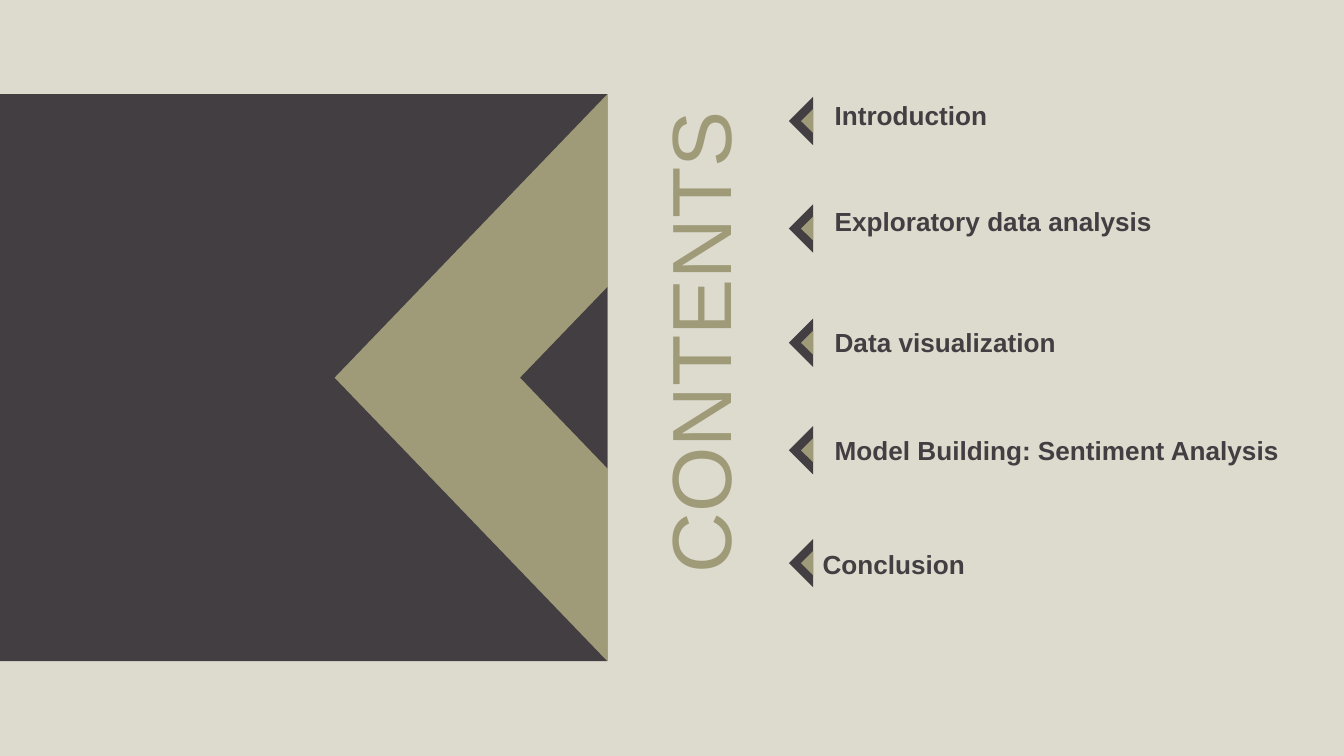
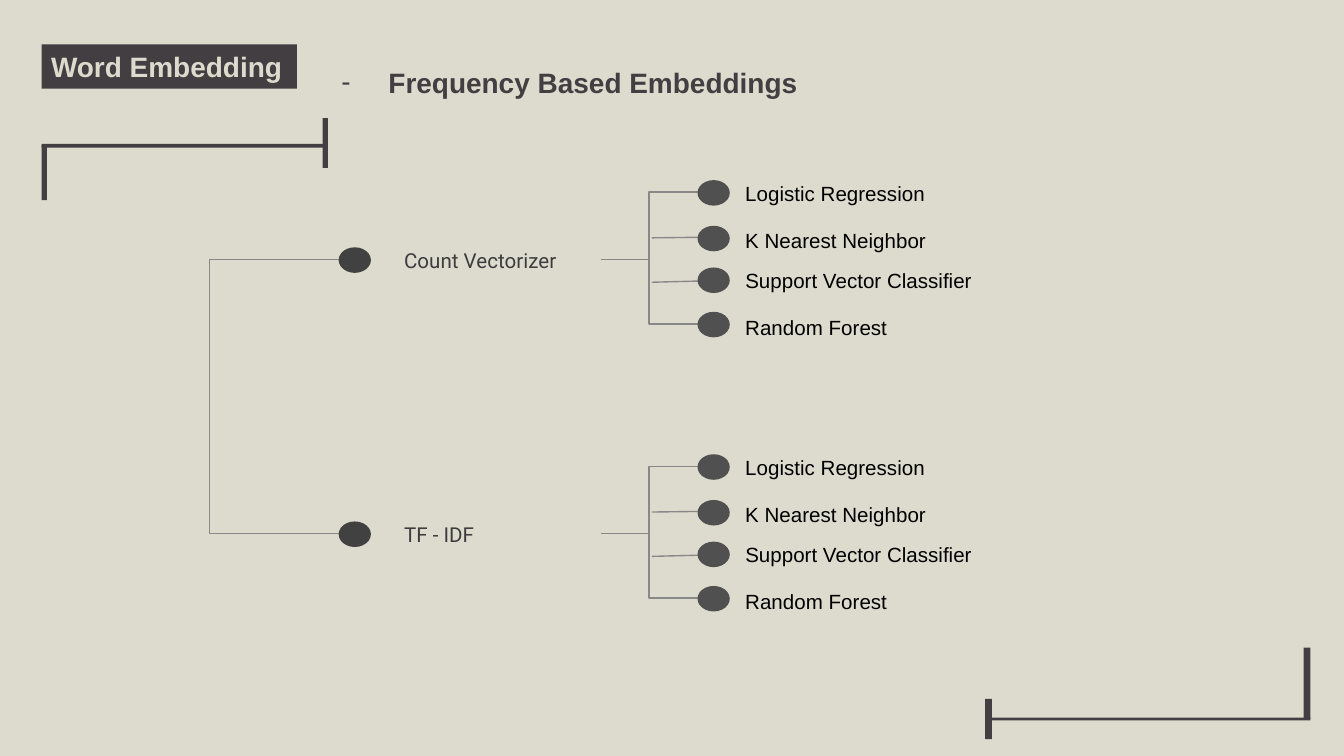
from lxml import etree
from pptx import Presentation
from pptx.dml.color import RGBColor
from pptx.enum.shapes import MSO_CONNECTOR, MSO_SHAPE
from pptx.enum.text import MSO_ANCHOR, PP_ALIGN
from pptx.oxml.ns import qn
from pptx.util import Inches, Pt

RECTANGLE = MSO_SHAPE.RECTANGLE
ROUNDED = MSO_SHAPE.ROUNDED_RECTANGLE
TRIANGLE = MSO_SHAPE.ISOSCELES_TRIANGLE
OVAL = MSO_SHAPE.OVAL
STRAIGHT = MSO_CONNECTOR.STRAIGHT
ELBOW = MSO_CONNECTOR.ELBOW
TOP, MIDDLE = MSO_ANCHOR.TOP, MSO_ANCHOR.MIDDLE
LEFT, CENTER = PP_ALIGN.LEFT, PP_ALIGN.CENTER

COLORS = {
    "sand": "DDDACE",
    "light sand": "DDDBCE",
    "dark": "423E42",
    "olive": "9F9A77",
    "line": "888888",
    "vectorizer dot": "414141",
    "vectorizer text": "3D3D3D",
    "model dot": "505050",
    "model text": "000000",
}

# The slide is a square grid: 100 columns by 56.25 rows
COLUMNS, ROWS = 100, 56.25
CELL = Inches(10) / COLUMNS

# Text, marker middle, label left and label top of each agenda entry
AGENDA = [
    ("Introduction", 9, 61.4, 7),
    ("Exploratory data analysis", 17, 61.4, 14.9),
    ("Data visualization", 25.5, 61.4, 23.9),
    ("Model Building: Sentiment Analysis", 33.5, 61.4, 31.9),
    ("Conclusion", 41.9, 60.5, 40.4),
]

VECTORIZERS = [("Count Vectorizer", 19.3), ("TF - IDF", 39.7)]
# Text, label width, and tops of label and dot measured from the branch middle
MODELS = [
    ("Logistic Regression", 16.3, -6.7, -5.9),
    ("K Nearest Neighbor", 16.3, -3.2, -2.5),
    ("Support Vector Classifier", 25.2, -0.2, 0.6),
    ("Random Forest", 16.3, 3.3, 3.9),
]

# Left, top, width and height of the bars in the two corner frames
FRAME_BARS = [
    (3.1, 10.7, 21, 0.3),
    (24, 8.8, 0.4, 3.7),
    (3.1, 10.8, 0.4, 4.1),
    (97, 48.2, 0.5, 5.3),
    (73.3, 53.4, 24.2, 0.2),
    (73.3, 52, 0.5, 3),
]


def cells(*values):
    return [round(value * CELL) for value in values]


def color(name):
    return RGBColor.from_string(COLORS[name])


def add_slide(presentation, background):
    slide = presentation.slides.add_slide(presentation.slide_layouts[6])
    slide.background.fill.solid()
    slide.background.fill.fore_color.rgb = color(background)
    return slide


def add_block(slide, kind, box, fill=None):
    shape = slide.shapes.add_shape(kind, *cells(*box))
    shape.shadow.inherit = False
    shape.line.fill.background()
    if fill:
        shape.fill.solid()
        shape.fill.fore_color.rgb = color(fill)
    else:
        shape.fill.background()
    return shape


def add_left_triangle(slide, right, middle, width, height, fill):
    box = (right - (width + height) / 2, middle - width / 2, height, width)
    add_block(slide, TRIANGLE, box, fill).rotation = 270


def write(shape, text, size, text_color, font="Arial", bold=False,
          align=LEFT, anchor=TOP, insets=(0.7, 0.4, 0.7, 0.4)):
    frame = shape.text_frame
    frame.word_wrap = True
    frame.vertical_anchor = anchor
    (frame.margin_left, frame.margin_top,
     frame.margin_right, frame.margin_bottom) = cells(*insets)
    paragraph = frame.paragraphs[0]
    paragraph.alignment = align
    run = paragraph.add_run()
    run.text = text
    run.font.name = font
    run.font.size = Pt(size)
    run.font.bold = bold
    run.font.color.rgb = color(text_color)
    return paragraph


def add_text(slide, box, text, size, text_color, **style):
    shape = slide.shapes.add_textbox(*cells(*box))
    return shape, write(shape, text, size, text_color, **style)


def add_dash(paragraph, left, hanging, bullet_color):
    properties = paragraph._p.get_or_add_pPr()
    margin, indent = cells(left, hanging)
    properties.set("marL", str(margin))
    properties.set("indent", str(-indent))
    holder = etree.SubElement(properties, qn("a:buClr"))
    etree.SubElement(holder, qn("a:srgbClr"), val=COLORS[bullet_color])
    etree.SubElement(properties, qn("a:buFont"), typeface="Arial")
    etree.SubElement(properties, qn("a:buChar"), char="-")


def add_line(slide, kind, start, end):
    connector = slide.shapes.add_connector(kind, *cells(*start, *end))
    connector.line.color.rgb = color("line")
    connector.line.width = Pt(0.75)
    etree.SubElement(connector._element.spPr, qn("a:effectLst"))
    return connector


def add_corner(slide, start, end):
    """One-bend line that leaves start vertically and meets end sideways."""
    span, reach = abs(end[1] - start[1]), end[0] - start[0]
    center_x, center_y = (start[0] + end[0]) / 2, (start[1] + end[1]) / 2
    near, far = center_x - span / 2, center_x + span / 2
    if end[1] > start[1]:
        near, far = far, near
    connector = add_line(slide, ELBOW, (near, center_y - reach / 2),
                         (far, center_y + reach / 2))
    properties = connector._element.spPr
    properties.find(qn("a:xfrm")).set("rot", "16200000")
    properties.find(qn("a:prstGeom")).set("prst", "bentConnector2")


def add_node(slide, dot_left, dot_top, dot_color, label_box, text,
             text_color, font="Arial", left_inset=1):
    label = add_block(slide, ROUNDED, label_box)
    write(label, text, 11, text_color, font=font, anchor=MIDDLE,
          insets=(left_inset, 1, 1, 1))
    add_block(slide, OVAL, (dot_left, dot_top, 2.4, 1.9), dot_color)


def add_branch(slide, vectorizer, middle):
    # Lines first, so that the dots cover their ends
    for model_y in (middle - 5, middle + 4.8):
        add_line(slide, ELBOW, (44.7, middle), (51.9, model_y))
    for start_y, end_y in ((-1.6, -1.65), (1.7, 1.6)):
        add_line(slide, STRAIGHT, (48.5, middle + start_y),
                 (52.5, middle + end_y))

    add_node(slide, 25.2, middle - 0.9, "vectorizer dot",
             (28.5, middle - 1.7, 16.3, 3.5), vectorizer,
             "vectorizer text", font="Roboto", left_inset=1.4)
    for text, width, label_top, dot_top in MODELS:
        add_node(slide, 51.9, middle + dot_top, "model dot",
                 (54.3, middle + label_top, width, 3.5), text, "model text")


def build_contents(presentation):
    slide = add_slide(presentation, "sand")

    # Panel with nested arrowheads
    add_block(slide, RECTANGLE, (0, 7, 45.2, 42.2), "dark")
    add_left_triangle(slide, 45.2, 28.1, 20.3, 42.2, "olive")
    add_left_triangle(slide, 45.2, 28.1, 6.5, 13.5, "dark")

    # Vertical title
    title, _ = add_text(slide, (30.6, 21.3, 42.6, 8.3), "CONTENTS", 45,
                        "olive", align=CENTER)
    title.rotation = 270

    # Agenda
    for text, middle, left, top in AGENDA:
        add_left_triangle(slide, 60.5, middle, 1.8, 3.6, "dark")
        add_left_triangle(slide, 60.5, middle, 0.9, 1.8, "olive")
        add_text(slide, (left, top, COLUMNS - left, 3.1), text, 14, "dark",
                 bold=True)


def build_embeddings(presentation):
    slide = add_slide(presentation, "light sand")

    # Corner frames and headings
    for bar in FRAME_BARS:
        add_block(slide, RECTANGLE, bar, "dark")
    heading = add_block(slide, RECTANGLE, (3.1, 3.3, 19, 3.3), "dark")
    write(heading, "Word Embedding", 15, "light sand", bold=True)
    _, subtitle = add_text(slide, (23.2, 2.9, 46.5, 4),
                           "Frequency Based Embeddings", 15, "dark",
                           bold=True, insets=(0.7, 0.7, 0.7, 0.7))
    subtitle.line_spacing = 1.5
    add_dash(subtitle, 5, 3.5, "dark")

    # Tree of vectorizers and their models
    for vectorizer, middle in VECTORIZERS:
        add_corner(slide, (15.6, 29.5), (25.2, middle))
        add_branch(slide, vectorizer, middle)


def main():
    presentation = Presentation()
    presentation.slide_width, presentation.slide_height = cells(COLUMNS, ROWS)
    build_contents(presentation)
    build_embeddings(presentation)
    presentation.save("out.pptx")


if __name__ == "__main__":
    main()
